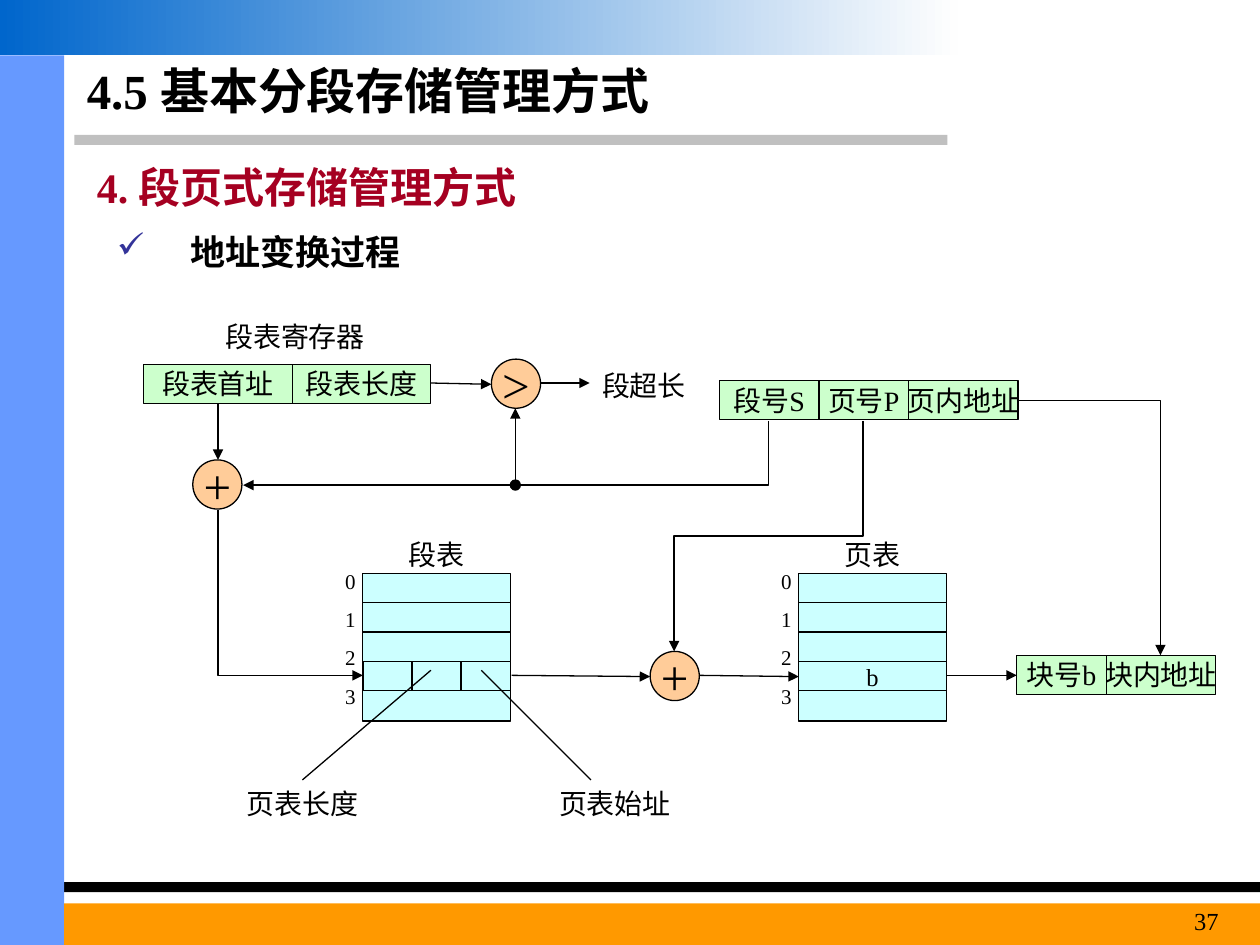
"""Draw the slide on address translation in segmented paging, on a 100 x 75 grid."""
from dataclasses import dataclass
from typing import NamedTuple

from lxml.etree import SubElement
from pptx import Presentation
from pptx.dml.color import RGBColor as Rgb
from pptx.enum.shapes import MSO_CONNECTOR as Link, MSO_SHAPE as Shape
from pptx.enum.text import MSO_ANCHOR as Anchor, PP_ALIGN as Align
from pptx.oxml.ns import qn
from pptx.util import Emu, Inches, Pt

SLIDE_W, SLIDE_H = Inches(10), Inches(7.5)
COLUMNS, ROWS = 100, 75


@dataclass(frozen=True)
class Theme:
    font: str = "Times New Roman"
    ink: str = "000000"
    heading: str = "A50021"
    check: str = "333399"
    rule: str = "C0C0C0"
    sidebar: str = "6699FF"
    footer: str = "FF9900"
    band_start: str = "FEFEFE"
    band_end: str = "0066CC"
    register: str = "CCFFCC"
    adder: str = "FFCC99"
    table: str = "CCFFFF"
    title_pt: float = 28
    heading_pt: float = 24
    point_pt: float = 20
    label_pt: float = 16
    entry_pt: float = 14
    index_pt: float = 12
    line_pt: float = 0.75


class Box(NamedTuple):
    col: float
    row: float
    cols: float
    rows: float


class Point(NamedTuple):
    col: float
    row: float


class Label(NamedTuple):
    text: str
    box: Box
    size: float = Theme.label_pt
    align: Align = Align.CENTER
    color: str = Theme.ink
    bold: bool = False
    anchor: Anchor = Anchor.TOP


class Register(NamedTuple):
    col: float
    row: float
    fields: tuple[tuple[str, float], ...]


class Lookup(NamedTuple):
    name: str
    col: float
    split: int
    entry: str


class Arrow(NamedTuple):
    start: Point
    end: Point
    head: bool = True


class Bend(NamedTuple):
    start: Point
    end: Point
    preset: str
    down_first: bool


THEME = Theme()
CELL_H, ENTRY_W, ENTRY_H, ENTRY_STEP = 3.1, 11.7, 2.4, 2.33
TABLE_ROW, ENTRY_ROWS, HIT_ROW, ADDER_SIZE = 45.5, 5, 3, 3.9

BARS = (
    (Box(5.9, 10.7, 69.3, 0.8), THEME.rule),
    (Box(0, 70, 100, 0.8), THEME.ink),
    (Box(0, 4.4, 5.1, 70.6), THEME.sidebar),
    (Box(5.1, 71.7, 94.9, 3.3), THEME.footer),
)
TITLE = Label("4.5 基本分段存储管理方式", Box(5.9, 4.4, 68.5, 5.5), THEME.title_pt,
              Align.LEFT, bold=True, anchor=Anchor.MIDDLE)
HEADING = Label("4. 段页式存储管理方式", Box(6.7, 12.3, 78.7, 5), THEME.heading_pt,
                Align.LEFT, THEME.heading, True)
POINT = Label("地址变换过程", Box(8.3, 17.8, 89.8, 4.7), THEME.point_pt, Align.LEFT, bold=True)
LABELS = (
    Label("段表寄存器", Box(16.9, 24.9, 17.3, 3.7), align=Align.LEFT),
    Label("段超长", Box(46.8, 28.8, 9.5, 3.7), align=Align.LEFT),
    Label("页表始址", Box(42.9, 61.9, 11.8, 3.7)),
    Label("页表长度", Box(18.5, 61.9, 11, 3.7)),
    Label("37", Box(88.6, 71.4, 9.1, 3.6), THEME.entry_pt, Align.RIGHT),
)
REGISTERS = (
    Register(11.4, 28.9, (("段表首址", 11.8), ("段表长度", 11))),
    Register(57.1, 30.2, (("段号S", 7.9), ("页号P", 7.1), ("页内地址", 8.7))),
    Register(80.7, 52, (("块号b", 7.1), ("块内地址", 8.7))),
)
LOOKUPS = (Lookup("段表", 28.8, 3, ""), Lookup("页表", 63.4, 1, "b"))
ADDERS = (("+", Point(15.3, 36.5)), (">", Point(39, 28.5)), ("+", Point(51.6, 51.7)))
ARROWS = (
    Arrow(Point(17.3, 32), Point(17.3, 36.5)),
    Arrow(Point(40.9, 38.1), Point(40.9, 32.4)),
    Arrow(Point(42.9, 30.4), Point(46.8, 30.4)),
    Arrow(Point(34.2, 30.4), Point(39, 30.5)),
    Arrow(Point(40.6, 53.6), Point(51.6, 53.7)),
    Arrow(Point(55.5, 53.6), Point(63.4, 53.7)),
    Arrow(Point(75.1, 53.6), Point(80.7, 53.6)),
    Arrow(Point(34.2, 53.2), Point(24, 61.9), False),
    Arrow(Point(38.2, 53.2), Point(46.9, 61.9), False),
)
BENDS = (
    Bend(Point(17.3, 40.5), Point(28.8, 53.6), "bentConnector2", True),
    Bend(Point(61, 33.4), Point(19.3, 38.5), "bentConnector2", True),
    Bend(Point(68.5, 33.4), Point(53.5, 51.7), "bentConnector3", True),
    Bend(Point(80.7, 31.8), Point(92.1, 52), "bentConnector2", False),
)


def x(cols: float) -> Emu:
    return Emu(round(SLIDE_W * cols / COLUMNS))


def y(rows: float) -> Emu:
    return Emu(round(SLIDE_H * rows / ROWS))


def style_text(paragraph, size: float, align=Align.CENTER, color=THEME.ink, bold=False) -> None:
    paragraph.alignment = align
    for run in paragraph.runs:
        run.font.name, run.font.size, run.font.bold = THEME.font, Pt(size), bold
        run.font.color.rgb = Rgb.from_string(color)


def draw_label(slide, label: Label):
    box = label.box
    frame = slide.shapes.add_textbox(x(box.col), y(box.row), x(box.cols), y(box.rows)).text_frame
    frame.word_wrap, frame.vertical_anchor = True, label.anchor
    frame.text = label.text
    for paragraph in frame.paragraphs:
        style_text(paragraph, label.size, label.align, label.color, label.bold)
    return frame


def draw_shape(slide, box: Box, fill: str, outlined=True, text="",
               size=THEME.label_pt, preset=Shape.RECTANGLE):
    shape = slide.shapes.add_shape(preset, x(box.col), y(box.row), x(box.cols), y(box.rows))
    shape.shadow.inherit = False
    shape.fill.solid()
    shape.fill.fore_color.rgb = Rgb.from_string(fill)
    if outlined:
        shape.line.color.rgb = Rgb.from_string(THEME.ink)
        shape.line.width = Pt(THEME.line_pt)
    else:
        shape.line.fill.background()
    if text:
        frame = shape.text_frame
        frame.word_wrap, frame.vertical_anchor = False, Anchor.MIDDLE
        frame.text = text
        style_text(frame.paragraphs[0], size)
    return shape


def style_link(link, head: bool) -> None:
    link.line.color.rgb = Rgb.from_string(THEME.ink)
    link.line.width = Pt(THEME.line_pt)
    if head:
        SubElement(link.line._get_or_add_ln(), qn("a:tailEnd"), type="triangle")
    SubElement(link._element.spPr, qn("a:effectLst"))


def draw_arrow(slide, arrow: Arrow) -> None:
    (c1, r1), (c2, r2) = arrow.start, arrow.end
    style_link(slide.shapes.add_connector(Link.STRAIGHT, x(c1), y(r1), x(c2), y(r2)), arrow.head)


def draw_bend(slide, bend: Bend) -> None:
    """Draw an elbow; one that starts downward is laid out flat, then turned by 90 degrees."""
    (c1, r1), (c2, r2) = bend.start, bend.end
    if bend.down_first:
        mid_c, mid_r, half_w, half_h = (c1 + c2) / 2, (r1 + r2) / 2, (r2 - r1) / 2, (c2 - c1) / 2
        c1, r1, c2, r2 = mid_c - half_w, mid_r + half_h, mid_c + half_w, mid_r - half_h
    link = slide.shapes.add_connector(Link.ELBOW, x(c1), y(r1), x(c2), y(r2))
    properties = link._element.spPr
    properties.find(qn("a:prstGeom")).set("prst", bend.preset)
    if bend.down_first:
        properties.find(qn("a:xfrm")).set("rot", str(90 * 60000))
    style_link(link, True)


def draw_register(slide, register: Register) -> None:
    col = register.col
    for text, cols in register.fields:
        draw_shape(slide, Box(col, register.row, cols, CELL_H), THEME.register, text=text)
        col += cols


def draw_lookup(slide, lookup: Lookup) -> None:
    for index in range(ENTRY_ROWS):
        parts = lookup.split if index == HIT_ROW else 1
        width = ENTRY_W / parts
        for part in range(parts):
            cell = Box(lookup.col + part * width, TABLE_ROW + index * ENTRY_STEP, width, ENTRY_H)
            draw_shape(slide, cell, THEME.table, size=THEME.entry_pt,
                       text=lookup.entry if index == HIT_ROW else "")
    draw_label(slide, Label(lookup.name, Box(lookup.col + 0.8, 42.2, 10.1, 3.7)))
    indices = draw_label(slide, Label("0\n1\n2\n3", Box(lookup.col - 2.4, 44.6, 3.1, 12.2),
                                      THEME.index_pt, Align.LEFT))
    for paragraph in indices.paragraphs[1:]:
        paragraph.space_before = Pt(7.5)


def draw_frame(slide) -> None:
    for box, color in BARS:
        draw_shape(slide, box, color, outlined=False)
    band = draw_shape(slide, Box(0, 0, 76, 4.4), THEME.band_end, outlined=False)
    band.fill.gradient()
    band.fill.gradient_angle = 180
    for stop, color in zip(band.fill.gradient_stops, (THEME.band_start, THEME.band_end)):
        stop.color.rgb = Rgb.from_string(color)


def draw_point(slide) -> None:
    properties = draw_label(slide, POINT).paragraphs[0]._p.get_or_add_pPr()
    properties.set("marL", str(x(5.8)))
    properties.set("indent", str(-x(5.8)))
    SubElement(SubElement(properties, qn("a:buClr")), qn("a:srgbClr"), val=THEME.check)
    SubElement(properties, qn("a:buChar"), char="✓")


def main() -> None:
    deck = Presentation()
    deck.slide_width, deck.slide_height = SLIDE_W, SLIDE_H
    slide = deck.slides.add_slide(deck.slide_layouts[6])
    draw_frame(slide)
    draw_point(slide)
    for label in (TITLE, HEADING, *LABELS):
        draw_label(slide, label)
    for register in REGISTERS:
        draw_register(slide, register)
    for lookup in LOOKUPS:
        draw_lookup(slide, lookup)
    for sign, (col, row) in ADDERS:
        draw_shape(slide, Box(col, row, ADDER_SIZE, ADDER_SIZE), THEME.adder,
                   text=sign, size=THEME.title_pt, preset=Shape.OVAL)
    draw_shape(slide, Box(40.5, 38.1, 0.8, 0.8), THEME.ink, preset=Shape.OVAL)
    for arrow in ARROWS:
        draw_arrow(slide, arrow)
    for bend in BENDS:
        draw_bend(slide, bend)
    deck.save("out.pptx")


if __name__ == "__main__":
    main()
